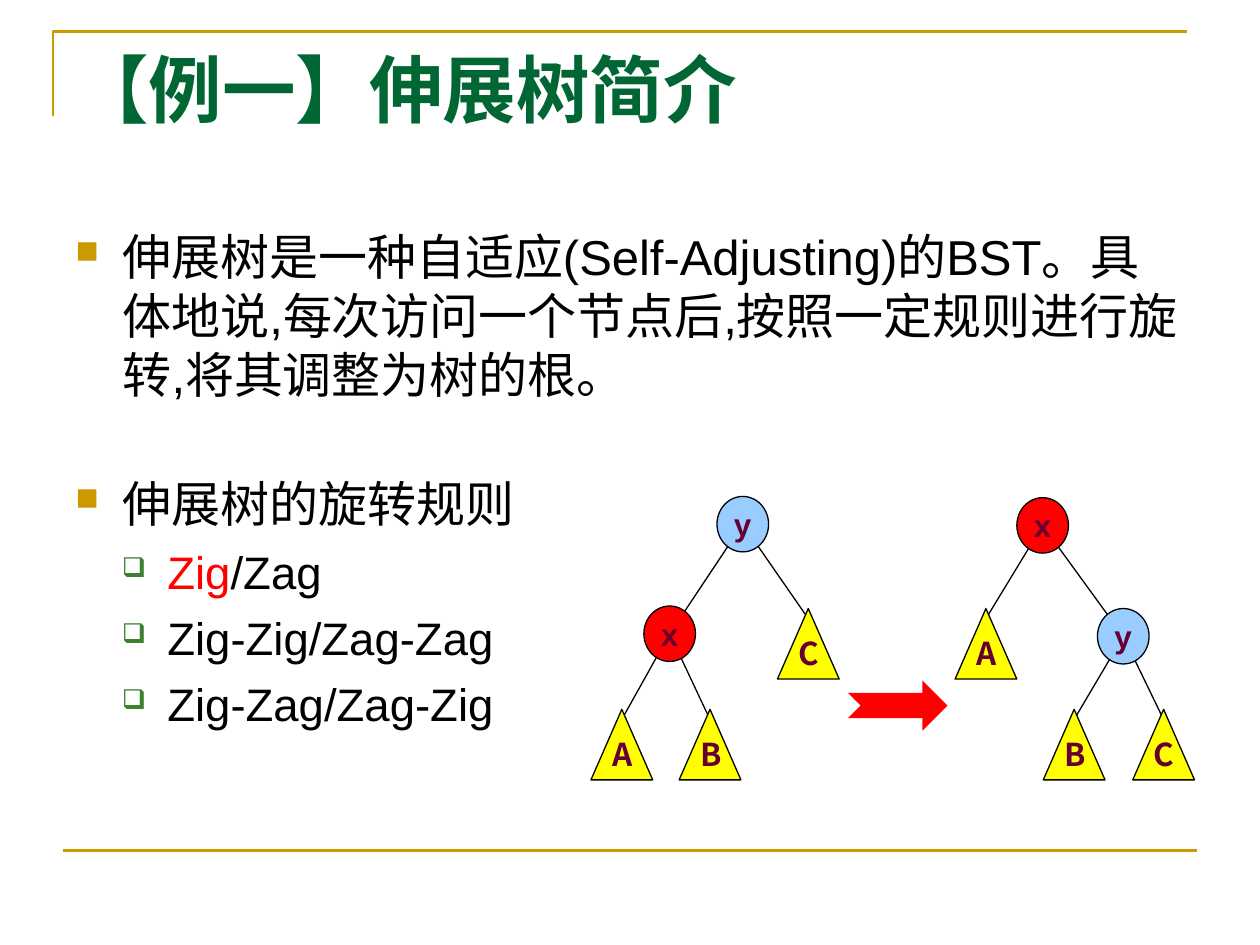
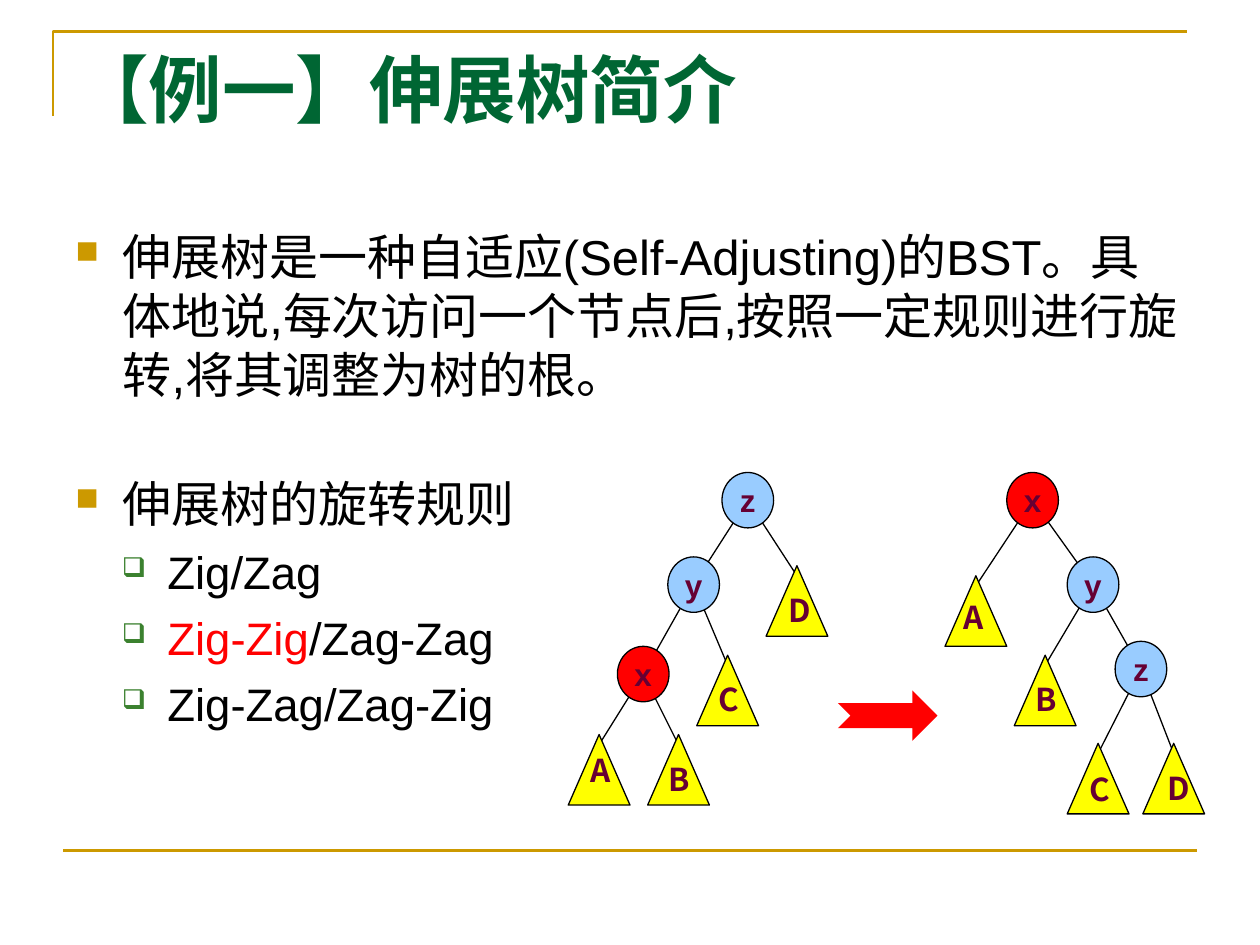
"""Two slides on splay trees: shared frame and text, one rotation drawn on each."""
from dataclasses import dataclass
from typing import Any

from lxml import etree
from pptx import Presentation
from pptx import util as u
from pptx.dml import color
from pptx.enum import shapes, text
from pptx.oxml import ns

HUE = {"gold": "CC9900", "title": "006633", "ink": "000000", "red": "FF0000",
       "blue": "99CCFF", "leaf": "FFFF00", "label": "660033", "tick": "3B812F"}
CJK = "Noto Sans CJK SC"
STYLE = {
    "title": {"name": "Times New Roman", "size": u.Pt(42), "bold": True},
    "main": {"name": "Arial", "size": u.Pt(28)},
    "sub": {"name": "Arial", "size": u.Pt(26)},
    "node": {"name": "Arial", "size": u.Pt(18), "bold": True},
    "leaf": {"name": CJK, "size": u.Pt(18), "bold": True},
}

# The grid has 100 columns and 75 rows of square cells.
deck = Presentation()
deck.slide_width, deck.slide_height = u.Inches(10), u.Inches(7.5)
CELL = deck.slide_width / 100
DISC = (4.1, 4.4)
WEDGE = (4.9, 5.6)
TAG = (3.5, 4)


@dataclass
class Node:
    """A tree node: the centre of a disc, or the apex of a leaf triangle."""
    name: str
    x: float
    y: float
    kids: tuple["Node", ...] = ()
    shift: tuple[float, float] = (0, 0)

    @property
    def end(self) -> tuple[float, float]:
        """Point where edges meet the node."""
        return (self.x, self.y) if self.kids else (self.x, self.y + 0.8)


@dataclass
class Level:
    """Look of one outline level; lengths in cells, gap and line in points."""
    style: str
    mark: str
    hue: str
    share: int
    left: float
    hang: float
    gap: float
    line: float


@dataclass
class Page:
    """What differs between slides."""
    hot: str
    trees: tuple[Node, Node]
    arrow: tuple[float, float]


MAIN = Level("main", "■", "gold", 65, 3.75, 3.75, 7, 33.7)
SUB = Level("sub", "❑", "tick", 60, 7.3, 3.6, 6.5, 31.2)
TITLE = "【例一】伸展树简介"
INTRO = ("伸展树是一种自适应(Self-Adjusting)的BST。具体地说,每次访问一个节点后,"
         "按照一定规则进行旋转,将其调整为树的根。").replace(",", ",")
RULES = ("Zig/Zag", "Zig-Zig/Zag-Zag", "Zig-Zag/Zag-Zig")

PAGES = (
    Page("Zig", (
        Node("y", 58.95, 41.6, (
            Node("x", 53.15, 50.3, (Node("A", 49.35, 56.3), Node("B", 56.35, 56.3))),
            Node("C", 64.15, 48.3))),
        Node("x", 82.75, 41.7, (
            Node("A", 78.25, 48.3),
            Node("y", 89.15, 50.5, (Node("B", 85.25, 56.3), Node("C", 92.35, 56.3)))))),
        (67.3, 54)),
    Page("Zig-Zig", (
        Node("z", 59.35, 39.7, (
            Node("y", 55.05, 46.4, (
                Node("x", 51.05, 53.5, (
                    Node("A", 47.55, 58.3, shift=(0.1, -0.7)), Node("B", 53.85, 58.3))),
                Node("C", 57.75, 52))),
            Node("D", 63.25, 44.9, shift=(0.1, 0)))),
        Node("x", 81.95, 39.7, (
            Node("A", 77.45, 45.7, shift=(-0.2, -0.2)),
            Node("y", 86.75, 46.4, (
                Node("B", 82.95, 52),
                Node("z", 90.55, 53.1, (
                    Node("C", 87.15, 59, shift=(0.1, 0.1)),
                    Node("D", 93.15, 59, shift=(0.3, 0))))))))),
        (66.5, 54.8)),
)


def span(*cells: float) -> list[u.Emu]:
    """Turn grid cells into slide lengths."""
    return [u.Emu(round(c * CELL)) for c in cells]


def rgb(hue: str) -> color.RGBColor:
    """Look up a named colour."""
    return color.RGBColor.from_string(HUE[hue])


def write(para: Any, words: str, style: str, hue: str) -> None:
    """Add a styled run to a paragraph."""
    run = para.add_run()
    run.text = words
    for key, value in STYLE[style].items():
        setattr(run.font, key, value)
    run.font.color.rgb = rgb(hue)
    east = etree.SubElement(run._r.get_or_add_rPr(), ns.qn("a:ea"))
    east.set("typeface", CJK)


def box(slide: Any, *cells: float, wrap: bool = True) -> Any:
    """Add a text box and return its frame."""
    frame = slide.shapes.add_textbox(*span(*cells)).text_frame
    frame.word_wrap = wrap
    return frame


def rule(slide: Any, start: tuple[float, float], end: tuple[float, float],
         hue: str = "ink", width: float = 0.75) -> None:
    """Draw a straight line."""
    line = slide.shapes.add_connector(shapes.MSO_CONNECTOR.STRAIGHT, *span(*start, *end))
    line.line.color.rgb, line.line.width = rgb(hue), u.Pt(width)
    etree.SubElement(line._element.spPr, ns.qn("a:effectLst"))


def solid(slide: Any, kind: Any, fill: str, *cells: float, edge: bool = True) -> Any:
    """Draw a filled preset shape."""
    form = slide.shapes.add_shape(kind, *span(*cells))
    form.shadow.inherit = False
    form.fill.solid()
    form.fill.fore_color.rgb = rgb(fill)
    if edge:
        form.line.color.rgb, form.line.width = rgb("ink"), u.Pt(0.75)
    else:
        form.line.fill.background()
    return form


def label(frame: Any, name: str, style: str) -> None:
    """Centre a node's name in a text frame."""
    frame.word_wrap = False
    frame.vertical_anchor = text.MSO_ANCHOR.MIDDLE
    para = frame.paragraphs[0]
    para.alignment = text.PP_ALIGN.CENTER
    write(para, name, style, "label")


def edges(slide: Any, node: Node) -> None:
    """Draw all edges below a node."""
    for kid in node.kids:
        rule(slide, node.end, kid.end)
        edges(slide, kid)


def nodes(slide: Any, node: Node) -> None:
    """Draw a node and all below it."""
    if node.kids:
        wide, high = DISC
        form = solid(slide, shapes.MSO_SHAPE.OVAL, "red" if node.name == "x" else "blue",
                     node.x - wide / 2, node.y - high / 2, wide, high)
        label(form.text_frame, node.name, "node")
    else:
        wide, high = WEDGE
        solid(slide, shapes.MSO_SHAPE.FLOWCHART_EXTRACT, "leaf",
              node.x - wide / 2, node.y, wide, high)
        right, down = node.shift
        frame = box(slide, node.x - TAG[0] / 2 + right, node.y + 1.5 + down, *TAG)
        label(frame, node.name, "leaf")
    for kid in node.kids:
        nodes(slide, kid)


def item(para: Any, level: Level, gap: float = 0) -> None:
    """Give a paragraph its spacing, indent and bullet."""
    para.space_before = u.Pt(gap or level.gap)
    para.line_spacing = u.Pt(level.line)
    props = para._p.get_or_add_pPr()
    left, hang = span(level.left, level.hang)
    props.set("marL", str(left))
    props.set("indent", str(-hang))
    tint = etree.SubElement(props, ns.qn("a:buClr"))
    etree.SubElement(tint, ns.qn("a:srgbClr")).set("val", HUE[level.hue])
    etree.SubElement(props, ns.qn("a:buSzPct")).set("val", str(level.share * 1000))
    etree.SubElement(props, ns.qn("a:buChar")).set("char", level.mark)


def frame(slide: Any) -> None:
    """Draw the gold corner, the foot line and the title."""
    pen = slide.shapes.build_freeform(*span(4.2, 9.2))
    pen.add_line_segments([span(4.2, 2.5), span(94.2, 2.5)], close=False)
    bend = pen.convert_to_shape()
    bend.shadow.inherit = False
    bend.fill.background()
    bend.line.color.rgb, bend.line.width = rgb("gold"), u.Pt(1.5)
    rule(slide, (5, 67.5), (95, 67.5), "gold", 1.5)
    write(box(slide, 5, 3, 90, 12.5).paragraphs[0], TITLE, "title", "title")


def outline(slide: Any, hot: str) -> None:
    """Write the body text, with one rule name in red."""
    body = box(slide, 5, 17.5, 90, 49.5)
    first = body.paragraphs[0]
    item(first, MAIN)
    write(first, INTRO, "main", "ink")
    head = body.add_paragraph()
    item(head, MAIN, gap=40)
    write(head, "伸展树的旋转规则", "main", "ink")
    for words in RULES:
        para = body.add_paragraph()
        para.level = 1
        item(para, SUB)
        lead, tail = words.split("/")
        if lead == hot:
            write(para, lead, "sub", "red")
            write(para, "/" + tail, "sub", "ink")
        else:
            write(para, words, "sub", "ink")


for page in PAGES:
    sheet = deck.slides.add_slide(deck.slide_layouts[6])
    frame(sheet)
    outline(sheet, page.hot)
    for tree in page.trees:
        edges(sheet, tree)
        nodes(sheet, tree)
    solid(sheet, shapes.MSO_SHAPE.NOTCHED_RIGHT_ARROW, "red", *page.arrow, 7.9, 4, edge=False)

deck.save("out.pptx")
